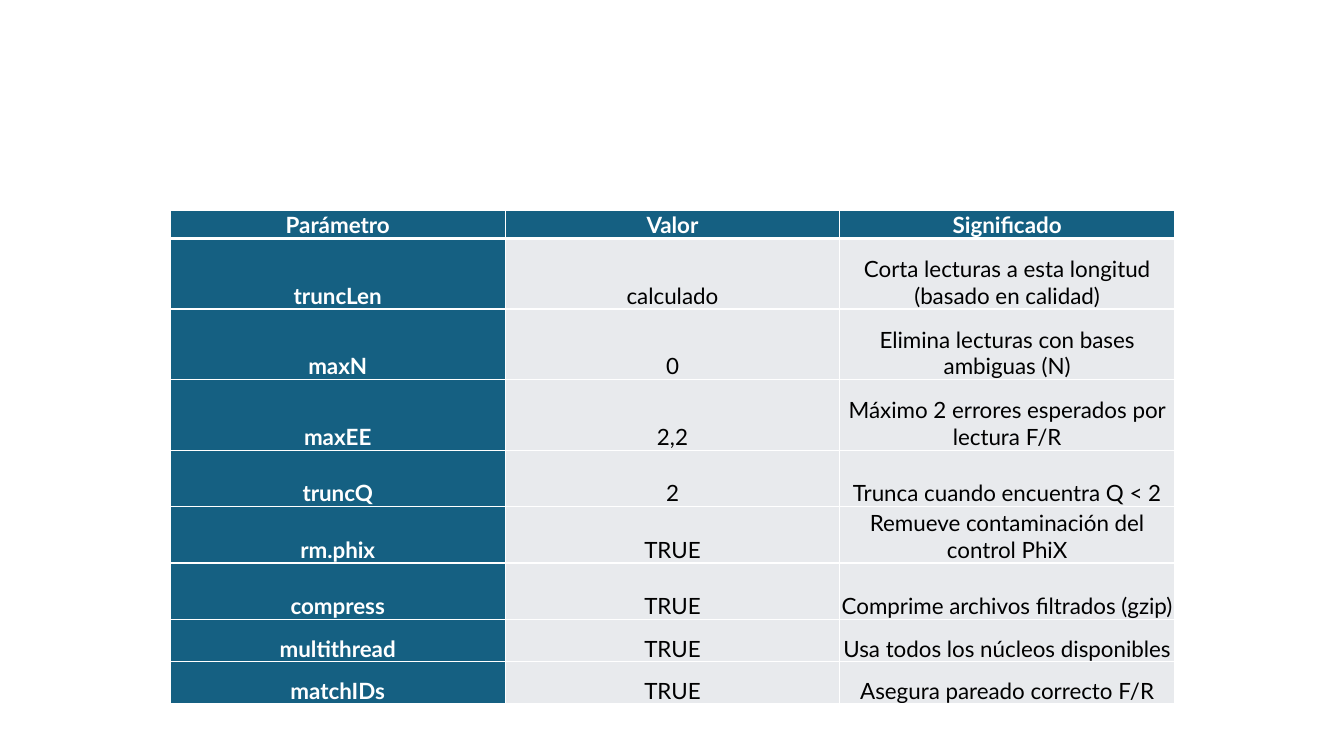
from dataclasses import dataclass

from lxml import etree
from pptx import Presentation
from pptx.dml.color import RGBColor
from pptx.enum.text import MSO_ANCHOR, PP_ALIGN
from pptx.oxml.ns import qn
from pptx.table import Table, _Cell
from pptx.util import Inches, Pt

CENTER = PP_ALIGN.CENTER
BOTTOM = MSO_ANCHOR.BOTTOM

COLORS = {"heading": "156082", "body": "E8EAED", "white": "FFFFFF", "black": "000000"}
FONT = "Lato"

TABLE_LEFT, TABLE_TOP = 1.69, 2.09
COLUMN_WIDTH = 3.32
HEADER_HEIGHT = 0.27
ROW_UNIT = 0.14
THIN, THICK = 1, 3


@dataclass(frozen=True)
class Parameter:
    name: str
    value: str
    meaning: str
    units: int

    def texts(self) -> tuple[str, str, str]:
        return self.name, self.value, self.meaning


HEADINGS = ("Parámetro", "Valor", "Significado")
PARAMETERS = (
    Parameter("truncLen", "calculado", "Corta lecturas a esta longitud (basado en calidad)", 5),
    Parameter("maxN", "0", "Elimina lecturas con bases ambiguas (N)", 5),
    Parameter("maxEE", "2,2", "Máximo 2 errores esperados por lectura F/R", 5),
    Parameter("truncQ", "2", "Trunca cuando encuentra Q < 2", 4),
    Parameter("rm.phix", "TRUE", "Remueve contaminación del control PhiX", 4),
    Parameter("compress", "TRUE", "Comprime archivos filtrados (gzip)", 4),
    Parameter("multithread", "TRUE", "Usa todos los núcleos disponibles", 3),
    Parameter("matchIDs", "TRUE", "Asegura pareado correcto F/R", 3),
)


def write_text(cell: _Cell, text: str, *, color: str, bold: bool, size: int = 16) -> None:
    cell.vertical_anchor = BOTTOM
    cell.margin_left = cell.margin_right = cell.margin_top = Inches(0.01)
    cell.margin_bottom = 0
    paragraph = cell.text_frame.paragraphs[0]
    paragraph.alignment = CENTER
    run = paragraph.add_run()
    run.text = text
    run.font.name = FONT
    run.font.size = Pt(size)
    run.font.bold = bold
    run.font.color.rgb = RGBColor.from_string(COLORS[color])


def set_borders(cell: _Cell, *, top: int, bottom: int) -> None:
    """Draw white borders; widths are in points."""
    properties = cell._tc.get_or_add_tcPr()
    widths = {"a:lnL": THIN, "a:lnR": THIN, "a:lnT": top, "a:lnB": bottom}
    for position, (tag, width) in enumerate(widths.items()):
        line = etree.Element(qn(tag), w=str(Pt(width)))
        fill = etree.SubElement(line, qn("a:solidFill"))
        etree.SubElement(fill, qn("a:srgbClr"), val=COLORS["white"])
        properties.insert(position, line)


def fill_row(table: Table, index: int, texts: tuple[str, str, str], height: float) -> None:
    table.rows[index].height = Inches(height)
    for column, text in enumerate(texts):
        cell = table.cell(index, column)
        is_heading = index == 0 or column == 0
        cell.fill.solid()
        cell.fill.fore_color.rgb = RGBColor.from_string(COLORS["heading" if is_heading else "body"])
        write_text(cell, text, color="white" if is_heading else "black", bold=is_heading)
        set_borders(cell, top=THICK if index == 1 else THIN, bottom=THICK if index == 0 else THIN)


def main() -> None:
    presentation = Presentation()
    presentation.slide_width = Inches(13.33)
    presentation.slide_height = Inches(7.5)
    slide = presentation.slides.add_slide(presentation.slide_layouts[6])

    height = HEADER_HEIGHT + ROW_UNIT * sum(parameter.units for parameter in PARAMETERS)
    table = slide.shapes.add_table(
        len(PARAMETERS) + 1, len(HEADINGS), Inches(TABLE_LEFT), Inches(TABLE_TOP),
        Inches(COLUMN_WIDTH * len(HEADINGS)), Inches(height),
    ).table
    table.horz_banding = False
    table.first_col = True

    fill_row(table, 0, HEADINGS, HEADER_HEIGHT)
    for index, parameter in enumerate(PARAMETERS, start=1):
        fill_row(table, index, parameter.texts(), parameter.units * ROW_UNIT)

    presentation.save("out.pptx")


if __name__ == "__main__":
    main()
